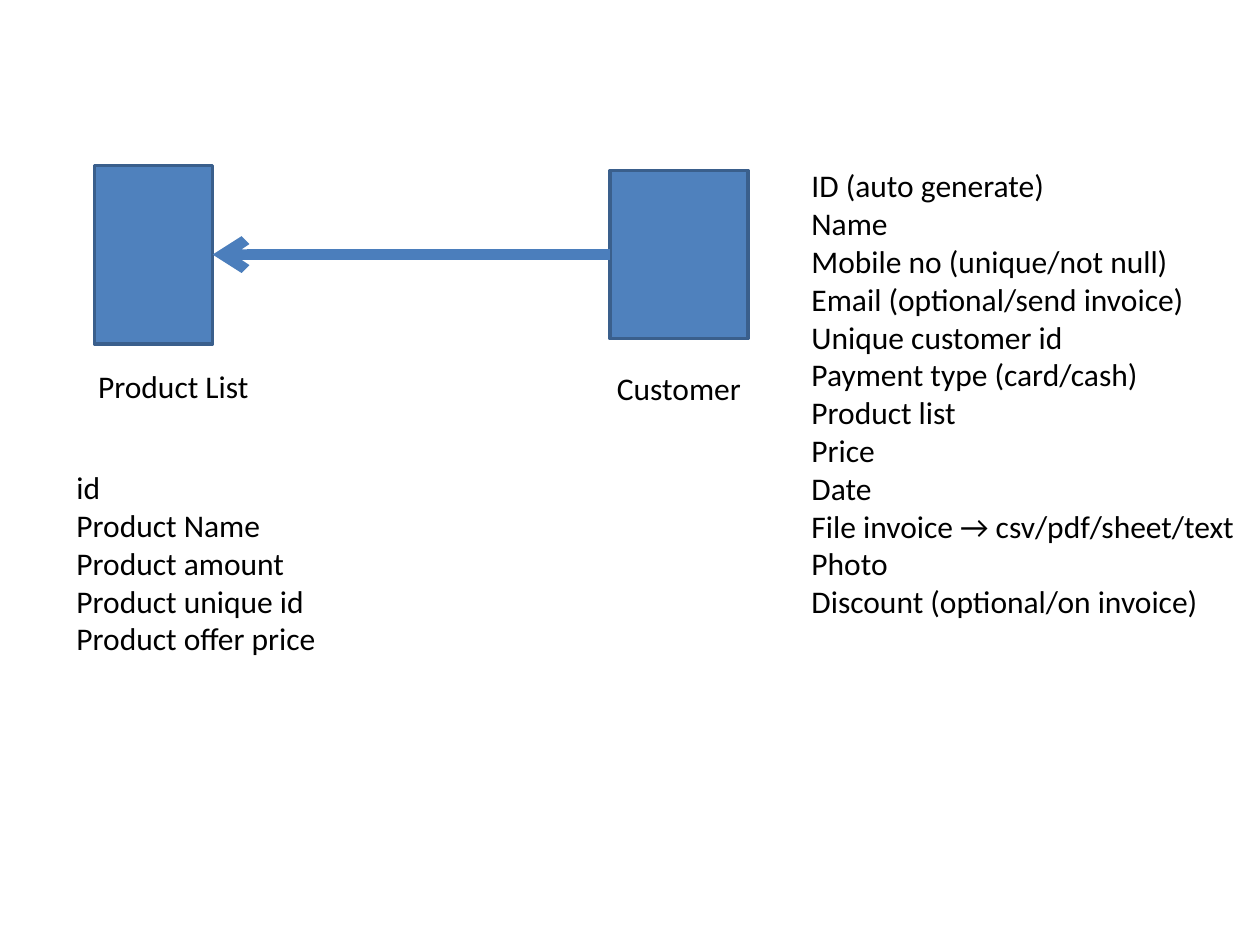
import pptx
import pptx.dml.color
import pptx.enum.shapes
import pptx.enum.text
import pptx.oxml.ns
import pptx.util
import lxml.etree

Pt = pptx.util.Pt
BLUE = pptx.dml.color.RGBColor(0x4F, 0x81, 0xBD)
OUTLINE = pptx.dml.color.RGBColor(0x3A, 0x5F, 0x8C)
ARROW = pptx.dml.color.RGBColor(0x4B, 0x7E, 0xBC)
BLACK = pptx.dml.color.RGBColor(0, 0, 0)

FONT_FORMAT = {"name": "Calibri", "size": Pt(18)}
PARA_FORMAT = {"space_before": Pt(0), "space_after": Pt(0), "line_spacing": 1.0,
               "alignment": pptx.enum.text.PP_ALIGN.LEFT}
FRAME_FORMAT = {"word_wrap": False,
                "auto_size": pptx.enum.text.MSO_AUTO_SIZE.SHAPE_TO_FIT_TEXT}

PRODUCT_FIELDS = ["id", "Product Name", "Product amount", "Product unique id",
                  "Product offer price"]
CUSTOMER_FIELDS = ["ID (auto generate)", "Name", "Mobile no (unique/not null)",
                   "Email (optional/send invoice)", "Unique customer id",
                   "Payment type (card/cash)", "Product list", "Price", "Date",
                   "File invoice → csv/pdf/sheet/text", "Photo",
                   "Discount (optional/on invoice)"]


def set_values(target, values):
    """Set each named attribute of the target."""
    for name, value in values.items():
        setattr(target, name, value)


def add_child(parent, tag, **attributes):
    """Append an XML element in the drawing namespace."""
    return lxml.etree.SubElement(parent, pptx.oxml.ns.qn(tag), attributes)


def write_lines(frame, lines):
    """Write one plain paragraph per line."""
    set_values(frame, FRAME_FORMAT)
    for index, line in enumerate(lines):
        para = frame.add_paragraph() if index else frame.paragraphs[0]
        set_values(para, PARA_FORMAT)
        span = para.add_run()
        span.text = line
        set_values(span.font, FONT_FORMAT)
        span.font.color.rgb = BLACK


def add_entity(page, box, name, label_offset, label_width):
    """Draw an entity block with its name below, and return the block."""
    left, top, width, height = box
    block = page.shapes.add_shape(pptx.enum.shapes.MSO_SHAPE.RECTANGLE,
                                  Pt(left), Pt(top), Pt(width), Pt(height))
    block.shadow.inherit = False
    block.fill.solid()
    block.fill.fore_color.rgb = BLUE
    block.line.color.rgb = OUTLINE
    block.line.width = Pt(2)
    across, below = label_offset
    label = page.shapes.add_textbox(Pt(left + across), Pt(top + height + below),
                                    Pt(label_width), Pt(29))
    write_lines(label.text_frame, [name])
    return block


def add_relation(page, source, target):
    """Draw an arrow from the source's left side to the target's right side."""
    arrow = page.shapes.add_connector(pptx.enum.shapes.MSO_CONNECTOR.STRAIGHT, 0, 0, 0, 0)
    arrow.begin_connect(source, 1)
    arrow.end_connect(target, 3)
    arrow.line.color.rgb = ARROW
    arrow.line.width = Pt(6)
    add_child(arrow.line._get_or_add_ln(), "a:tailEnd", type="arrow")
    add_child(arrow._element.spPr, "a:effectLst")


def fill_fields(placeholder, box, fields):
    """Place a body placeholder in the box and list the fields without bullets."""
    set_values(placeholder, dict(zip(("left", "top", "width", "height"), map(Pt, box))))
    write_lines(placeholder.text_frame, fields)
    for para in placeholder.text_frame.paragraphs:
        properties = para._p.get_or_add_pPr()
        properties.set("marL", "0")
        properties.set("indent", "0")
        add_child(properties, "a:buNone")


def build_page(deck):
    """Add the page that relates customers to products."""
    page = deck.slides.add_slide(deck.slide_layouts[3])
    title = page.shapes.title._element
    title.getparent().remove(title)
    product = add_entity(page, (54, 94.5, 67.5, 102), "Product List", (-5, 9.5), 101.5)
    customer = add_entity(page, (348.5, 97.5, 79, 96), "Customer", (-3, 14), 86.5)
    add_relation(page, customer, product)
    fill_fields(page.placeholders[1], (456.5, 91.5, 257, 269.5), CUSTOMER_FIELDS)
    fill_fields(page.placeholders[2], (36.5, 264, 153.5, 116.5), PRODUCT_FIELDS)


def main():
    """Build and save the deck."""
    deck = pptx.Presentation()
    deck.slide_width, deck.slide_height = Pt(720), Pt(540)
    build_page(deck)
    deck.save("out.pptx")


if __name__ == "__main__":
    main()
